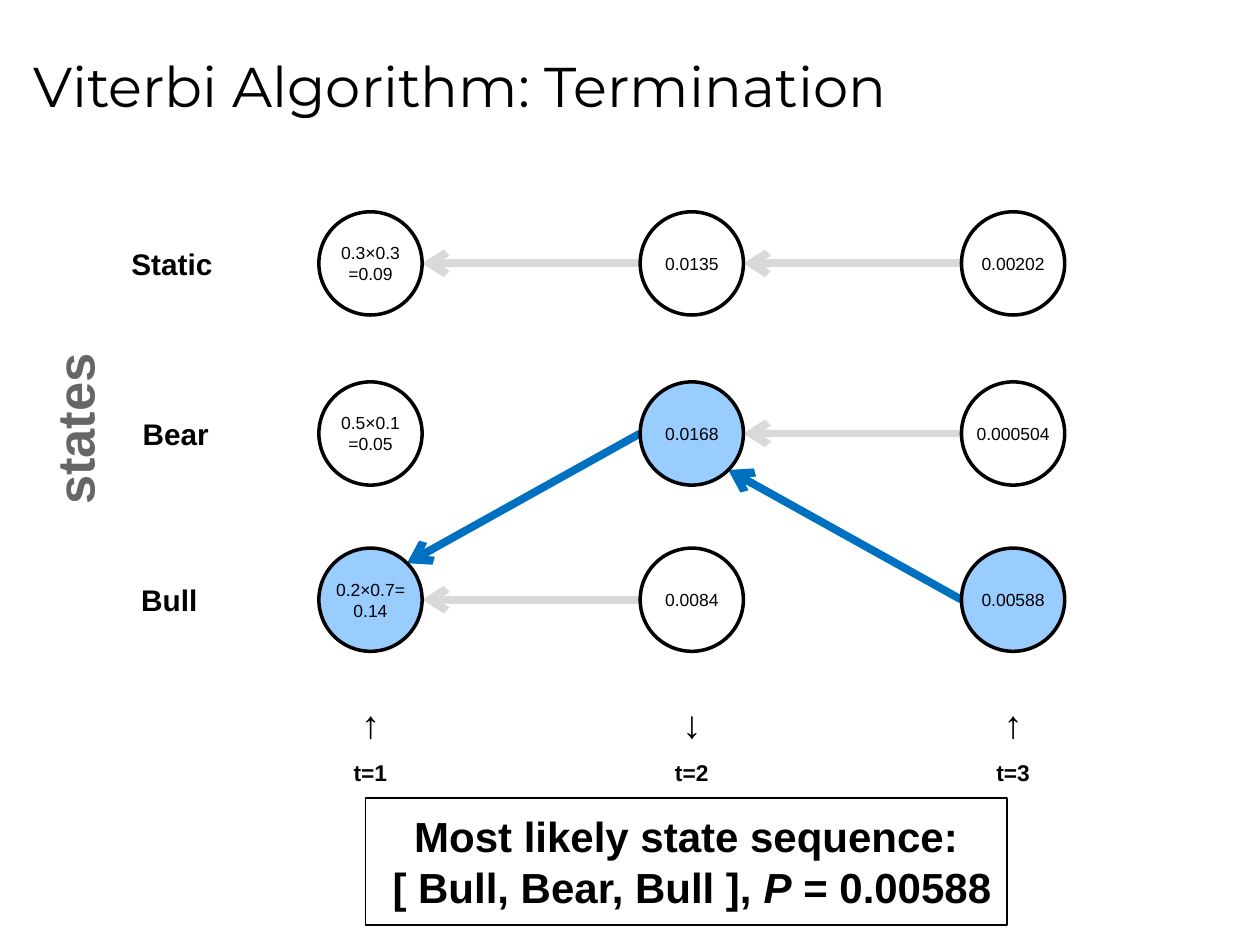
from math import cos, radians, sin

from lxml.etree import SubElement
from pptx import Presentation
from pptx.dml.color import RGBColor
from pptx.enum.shapes import MSO_CONNECTOR as Connector, MSO_SHAPE as Shape
from pptx.enum.text import MSO_ANCHOR as Anchor, MSO_AUTO_SIZE as AutoSize, PP_ALIGN as Align
from pptx.oxml.ns import qn
from pptx.util import Pt

BLACK, WHITE, GRAY = "000000", "FFFFFF", "666666"
PATH_FILL, PATH_LINE, FADED_LINE = "99CCFF", "0070C0", "D9D9D9"
DIAMETER = 59
TIME_X = [211.7 + 183.6 * step for step in range(3)]
STATES = [("Static", 98.3, 46.8, 150.5), ("Bear", 100.4, 38.2, 247.7), ("Bull", 96.8, 32.4, 342.7)]
STATIC, BEAR, BULL = range(3)
LEFT, RIGHT, UPPER_RIGHT, LOWER_RIGHT = 180, 0, -45, 45
SCORES = [
    [["0.3×0.3", "=0.09"], ["0.0135"], ["0.00202"]],
    [["0.5×0.1", "=0.05"], ["0.0168"], ["0.000504"]],
    [["0.2×0.7=0.14"], ["0.0084"], ["0.00588"]],
]
BEST_PATH = {(BULL, 0), (BEAR, 1), (BULL, 2)}
BACKPOINTERS = [
    ((BULL, 1), (BULL, 0), RIGHT, FADED_LINE),
    ((STATIC, 1), (STATIC, 0), RIGHT, FADED_LINE),
    ((STATIC, 2), (STATIC, 1), RIGHT, FADED_LINE),
    ((BEAR, 1), (BULL, 0), UPPER_RIGHT, PATH_LINE),
    ((BULL, 2), (BEAR, 1), LOWER_RIGHT, PATH_LINE),
    ((BEAR, 2), (BEAR, 1), RIGHT, FADED_LINE),
]


def color(value):
    return RGBColor.from_string(value)


def rim(node, angle):
    state, time = node
    radius = DIAMETER / 2
    return (TIME_X[time] + radius * cos(radians(angle)),
            STATES[state][3] + radius * sin(radians(angle)))


class Trellis:
    font_name = "Arial"

    def __init__(self, slide):
        self.slide = slide

    def add_text(self, frame, paragraphs, size, tint=BLACK, bold=False, align=Align.CENTER,
                 font_name=None, inset=0):
        frame.vertical_anchor = Anchor.MIDDLE
        frame.margin_left = frame.margin_right = Pt(inset)
        frame.margin_top = frame.margin_bottom = Pt(inset)
        for index, runs in enumerate(paragraphs):
            paragraph = frame.add_paragraph() if index else frame.paragraphs[0]
            paragraph.alignment = align
            for text, italic in runs:
                run = paragraph.add_run()
                run.text = text
                font = run.font
                font.name = font_name or self.font_name
                font.size = Pt(size)
                font.bold = bold
                font.italic = italic
                font.color.rgb = color(tint)

    def title(self, text):
        title = self.slide.shapes.title
        title.left, title.top, title.width, title.height = Pt(12.2), Pt(8.6), Pt(684), Pt(80.6)
        frame = title.text_frame
        frame.auto_size = AutoSize.NONE
        self.add_text(frame, [[(text, False)]], 32, align=Align.LEFT, font_name="Montserrat",
                      inset=7.2)

    def label(self, text, center_x, center_y, width, height, size, tint=BLACK, rotation=0):
        box = self.slide.shapes.add_textbox(
            Pt(center_x - width / 2), Pt(center_y - height / 2), Pt(width), Pt(height))
        box.rotation = rotation
        box.text_frame.word_wrap = False
        box.text_frame.auto_size = AutoSize.SHAPE_TO_FIT_TEXT
        self.add_text(box.text_frame, [[(text, False)]], size, tint, bold=True)

    def arrow(self, start, end, tint):
        link = self.slide.shapes.add_connector(
            Connector.STRAIGHT, *(Pt(value) for value in (*start, *end)))
        link.line.color.rgb = color(tint)
        link.line.width = Pt(4.5)
        properties = link._element.spPr
        SubElement(properties.find(qn("a:ln")), qn("a:tailEnd"), type="arrow")
        SubElement(properties, qn("a:effectLst"))

    def outlined(self, kind, left, top, width, height, fill, line_width):
        shape = self.slide.shapes.add_shape(kind, Pt(left), Pt(top), Pt(width), Pt(height))
        shape.shadow.inherit = False
        if fill:
            shape.fill.solid()
            shape.fill.fore_color.rgb = color(fill)
        else:
            shape.fill.background()
        shape.line.color.rgb = color(BLACK)
        shape.line.width = Pt(line_width)
        return shape.text_frame

    def node(self, state, time):
        fill = PATH_FILL if (state, time) in BEST_PATH else None
        frame = self.outlined(Shape.OVAL, TIME_X[time] - DIAMETER / 2,
                              STATES[state][3] - DIAMETER / 2, DIAMETER, DIAMETER, fill, 2)
        frame.word_wrap = True
        self.add_text(frame, [[(text, False)] for text in SCORES[state][time]], 10)

    def conclusion(self, paragraphs):
        frame = self.outlined(Shape.RECTANGLE, 208.8, 455.8, 366.5, 72.7, WHITE, 1)
        frame.word_wrap = False
        frame.auto_size = AutoSize.SHAPE_TO_FIT_TEXT
        self.add_text(frame, paragraphs, 24, bold=True, inset=7.2)


def main():
    deck = Presentation()
    deck.slide_width, deck.slide_height = Pt(720), Pt(540)
    trellis = Trellis(deck.slides.add_slide(deck.slide_layouts[5]))
    trellis.title("Viterbi Algorithm: Termination")

    for time, (x, direction) in enumerate(zip(TIME_X, "↑↓↑"), 1):
        trellis.label(direction, x, 413, 10.8, 26.6, 22)
        trellis.label(f"t={time}", x, 441.4, 19.4, 15.8, 13)
    for state, x, width, y in STATES:
        trellis.label(state, x, y, width, 20.9, 17)
    trellis.label("states", 42.1, 245.2, 87.1, 36.7, 30, GRAY, 270)

    for start, end, arrival, tint in BACKPOINTERS:
        trellis.arrow(rim(start, LEFT), rim(end, arrival), tint)
    for time in range(len(TIME_X)):
        for state in (BULL, BEAR, STATIC):
            trellis.node(state, time)

    trellis.conclusion([
        [("Most likely state sequence:", False)],
        [(" [ Bull, Bear, Bull ], ", False), ("P", True), (" = 0.00588", False)],
    ])
    deck.save("out.pptx")


if __name__ == "__main__":
    main()
